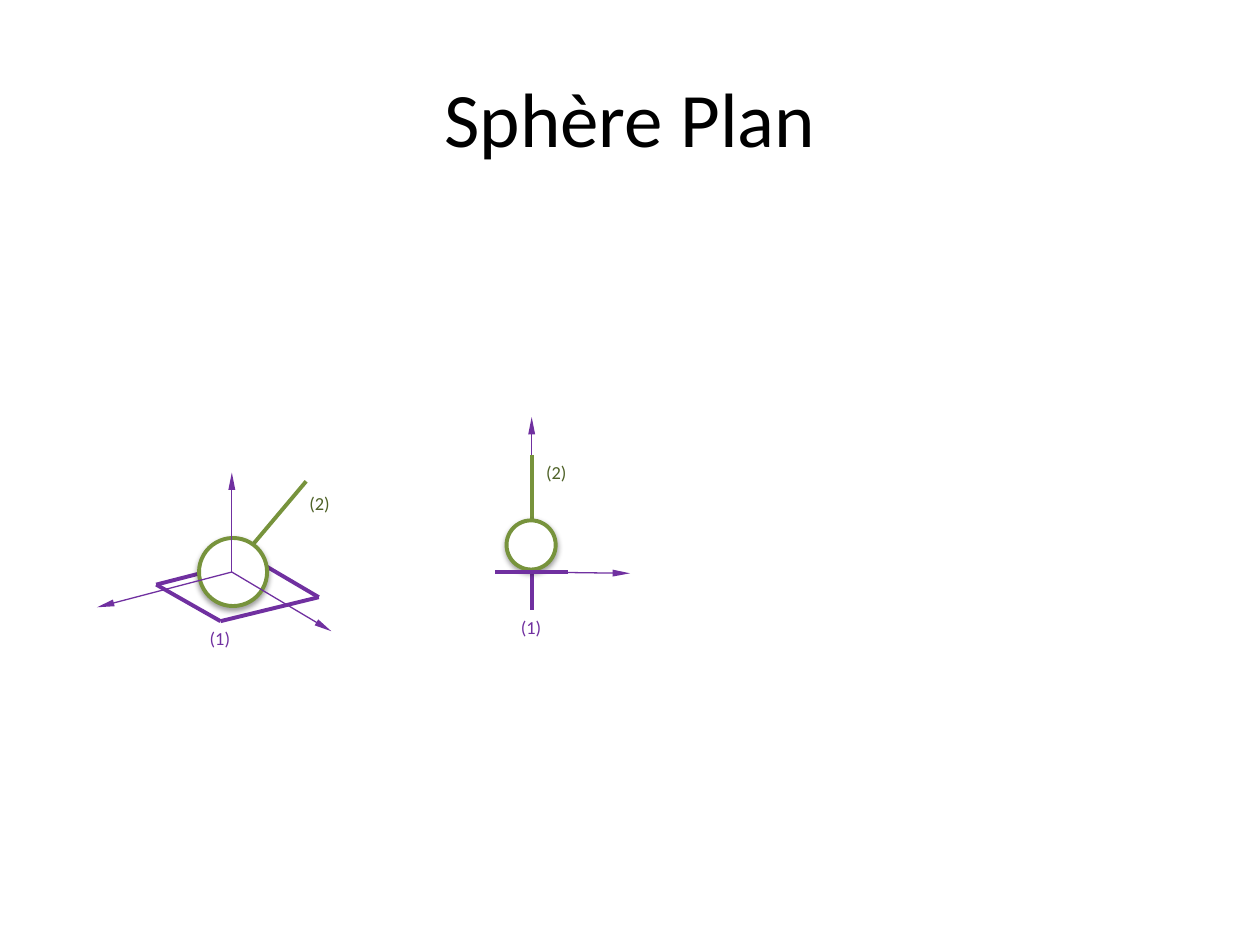
from dataclasses import dataclass

from lxml import etree
from pptx import Presentation
from pptx import util as u
from pptx.dml.color import RGBColor
from pptx.enum import shapes, text
from pptx.oxml.ns import qn

# The slide is a grid of 100 columns by 75 rows
COLUMNS, ROWS = 100, 75
WIDTH, HEIGHT = u.Inches(10), u.Inches(7.5)


@dataclass(frozen=True)
class Theme:
    font: str = "Calibri"
    title_size: float = 44
    label_size: float = 10.5
    thick: float = 2.25
    thin: float = 0.75
    black: RGBColor = RGBColor(0x00, 0x00, 0x00)
    white: RGBColor = RGBColor(0xFF, 0xFF, 0xFF)
    plane: RGBColor = RGBColor(0x70, 0x30, 0xA0)
    sphere: RGBColor = RGBColor(0x77, 0x93, 0x3C)
    sphere_label: RGBColor = RGBColor(0x4F, 0x62, 0x28)


THEME = Theme()


def x(column):
    return round(WIDTH * column / COLUMNS)


def y(row):
    return round(HEIGHT * row / ROWS)


def style_text(paragraph, size, color):
    paragraph.alignment = text.PP_ALIGN.CENTER
    paragraph.font.name = THEME.font
    paragraph.font.size = u.Pt(size)
    paragraph.font.color.rgb = color


def add_title(page, words):
    title = page.shapes.title
    title.left, title.top = x(5), y(3)
    title.width, title.height = x(90), y(12.5)
    title.text_frame.text = words
    title.text_frame.vertical_anchor = text.MSO_ANCHOR.MIDDLE
    style_text(title.text_frame.paragraphs[0], THEME.title_size, THEME.black)


def add_bar(parent, start, end, color, width=THEME.thick):
    bar = parent.add_connector(
        shapes.MSO_CONNECTOR.STRAIGHT,
        x(start[0]), y(start[1]), x(end[0]), y(end[1]))
    bar.line.color.rgb = color
    bar.line.width = u.Pt(width)
    etree.SubElement(bar._element.spPr, qn("a:effectLst"))
    return bar


def add_axis(parent, start, end):
    axis = add_bar(parent, start, end, THEME.plane, THEME.thin)
    etree.SubElement(axis.line._get_or_add_ln(), qn("a:tailEnd"),
                     type="triangle", w="sm", len="lg")


def add_sphere(parent, left, top, size):
    ball = parent.add_shape(shapes.MSO_SHAPE.OVAL,
                            x(left), y(top), x(size), y(size))
    ball.fill.solid()
    ball.fill.fore_color.rgb = THEME.white
    ball.line.color.rgb = THEME.sphere
    ball.line.width = u.Pt(THEME.thick)
    # Soft shadow straight below the ball
    ball.shadow.inherit = False
    effects = ball._element.spPr.find(qn("a:effectLst"))
    shadow = etree.SubElement(effects, qn("a:outerShdw"), blurRad="40000",
                              dist="20000", dir="5400000", rotWithShape="0")
    black = etree.SubElement(shadow, qn("a:srgbClr"), val=str(THEME.black))
    etree.SubElement(black, qn("a:alpha"), val="38000")


def add_label(parent, left, top, words, color):
    box = parent.add_textbox(x(left), y(top), x(3.9), y(2.9))
    frame = box.text_frame
    frame.word_wrap = False
    frame.auto_size = text.MSO_AUTO_SIZE.SHAPE_TO_FIT_TEXT
    frame.text = words
    style_text(frame.paragraphs[0], THEME.label_size, color)


def draw_perspective(parent):
    add_bar(parent, (18.4, 45.2), (24.3, 38.2), THEME.sphere)
    # Outline of the plane
    left, front, right, back = (12.4, 46.4), (17.5, 49.3), (25.3, 47.4), (20.2, 44.4)
    for start, end in ((left, front), (right, front), (back, right), (back, left)):
        add_bar(parent, start, end, THEME.plane)
    add_sphere(parent, 15.8, 42.7, 5.4)
    # Axes from the centre of the sphere
    for tip in ((18.4, 37.5), (26.3, 50.1), (7.7, 48.2)):
        add_axis(parent, (18.4, 45.4), tip)
    add_label(parent, 15.5, 49.3, "(1)", THEME.plane)
    add_label(parent, 23.4, 38.6, "(2)", THEME.sphere_label)


def draw_side_view(parent):
    middle, ground = 42.2, 45.4
    add_axis(parent, (middle, 45.5), (middle, 33.1))
    add_bar(parent, (middle, 48.4), (middle, 45.2), THEME.plane)
    add_bar(parent, (middle, 41.4), (middle, 36.1), THEME.sphere)
    add_sphere(parent, 40.2, 41.3, 3.9)
    add_label(parent, 40.2, 48.4, "(1)", THEME.plane)
    add_bar(parent, (45.1, ground), (39.3, ground), THEME.plane)
    add_axis(parent, (42, ground), (50, 45.5))
    add_label(parent, middle, 36.1, "(2)", THEME.sphere_label)


def main():
    deck = Presentation()
    deck.slide_width, deck.slide_height = WIDTH, HEIGHT
    page = deck.slides.add_slide(deck.slide_layouts.get_by_name("Title Only"))
    add_title(page, "Sphère Plan")
    draw_perspective(page.shapes)
    draw_side_view(page.shapes.add_group_shape().shapes)
    deck.save("out.pptx")


if __name__ == "__main__":
    main()
